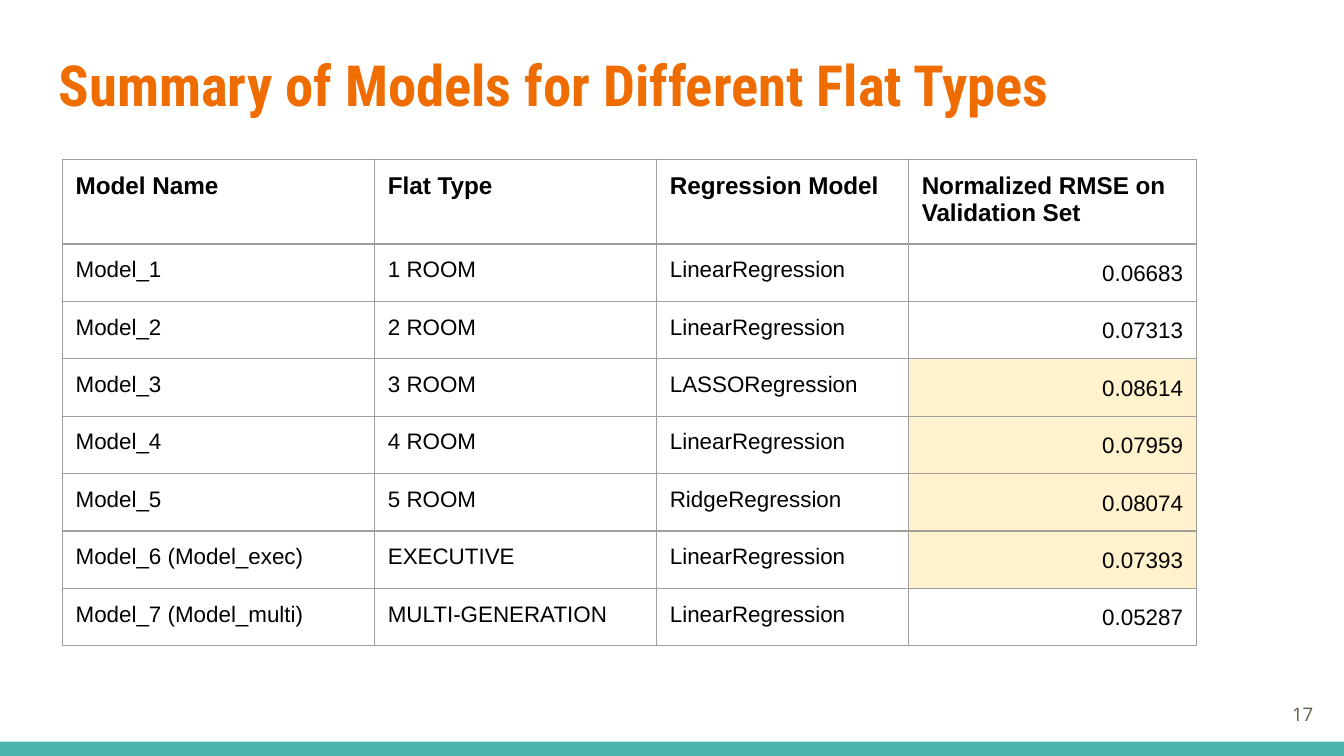
"""Build a slide that summarises the regression models by flat type."""
from pptx import Presentation
from pptx.dml.color import RGBColor
from pptx.enum import shapes, text
from pptx.oxml import parse_xml
from pptx.oxml.ns import nsdecls
from pptx.util import Cm, Pt

COLOURS = {
    "title": "EF6C00",
    "bar": "4DB6AC",
    "number": "695D46",
    "text": "000000",
    "border": "9E9E9E",
    "highlight": "FFF2CC",
}
INSET = Cm(0.25)
COLUMN_WIDTHS = [5.9, 5.33, 4.76, 5.44]
HEADER_HEIGHT, ROW_HEIGHT = 1.52, 1.05
HEADERS = ["Model Name", "Flat Type", "Regression Model", "Normalized RMSE on Validation Set"]
MODELS = [
    ("Model_1", "1 ROOM", "LinearRegression", "0.06683"),
    ("Model_2", "2 ROOM", "LinearRegression", "0.07313"),
    ("Model_3", "3 ROOM", "LASSORegression", "0.08614"),
    ("Model_4", "4 ROOM", "LinearRegression", "0.07959"),
    ("Model_5", "5 ROOM", "RidgeRegression", "0.08074"),
    ("Model_6 (Model_exec)", "EXECUTIVE", "LinearRegression", "0.07393"),
    ("Model_7 (Model_multi)", "MULTI-GENERATION", "LinearRegression", "0.05287"),
]
HIGHLIGHTED_ROWS = range(3, 7)


def place(shape, left, top, width, height):
    """Set the position and size of a shape in centimetres."""
    shape.left, shape.top, shape.width, shape.height = map(Cm, (left, top, width, height))


def set_insets(target):
    """Give a text frame or table cell the same inset on every side."""
    target.margin_left = target.margin_right = INSET
    target.margin_top = target.margin_bottom = INSET


def write(text_frame, content, font_name, size, colour, bold=False, align=text.PP_ALIGN.LEFT):
    """Write one formatted paragraph and return it."""
    text_frame.text = content
    text_frame.word_wrap = True
    paragraph = text_frame.paragraphs[0]
    paragraph.alignment = align
    font = paragraph.runs[0].font
    font.name, font.size, font.bold = font_name, Pt(size), bold
    font.color.rgb = RGBColor.from_string(COLOURS[colour])
    return paragraph


def add_bar(slide):
    """Add the coloured strip along the bottom edge."""
    bar = slide.shapes.add_shape(
        shapes.MSO_SHAPE.RECTANGLE, Cm(0), Cm(14.02), Cm(25.4), Cm(0.27)
    )
    bar.shadow.inherit = False
    bar.fill.solid()
    bar.fill.fore_color.rgb = RGBColor.from_string(COLOURS["bar"])
    bar.line.fill.background()


def fill_title(slide, content):
    """Place and format the title placeholder."""
    title = slide.shapes.title
    place(title, 0.86, 0.61, 23.67, 1.96)
    frame = title.text_frame
    set_insets(frame)
    frame.auto_size = text.MSO_AUTO_SIZE.NONE
    frame.vertical_anchor = text.MSO_ANCHOR.MIDDLE
    write(frame, content, "Roboto Condensed", 30.4, "title", bold=True)


def add_slide_number(slide, content):
    """Add the slide number at the bottom right."""
    frame = slide.shapes.add_textbox(Cm(23.55), Cm(12.95), Cm(1.52), Cm(1.09)).text_frame
    set_insets(frame)
    frame.vertical_anchor = text.MSO_ANCHOR.MIDDLE
    write(frame, content, "Open Sans", 10, "number", align=text.PP_ALIGN.RIGHT)


def add_borders(cell):
    """Draw a thin line on all four sides of a cell."""
    properties = cell._tc.get_or_add_tcPr()
    for side in "LRTB":
        properties.append(parse_xml(
            f'<a:ln{side} {nsdecls("a")} w="{Pt(0.75)}"><a:solidFill>'
            f'<a:srgbClr val="{COLOURS["border"]}"/></a:solidFill></a:ln{side}>'
        ))


def format_cell(cell, content, is_header, is_value, is_highlighted):
    """Write and style one table cell."""
    set_insets(cell)
    add_borders(cell)
    if is_highlighted:
        cell.fill.solid()
        cell.fill.fore_color.rgb = RGBColor.from_string(COLOURS["highlight"])
    else:
        cell.fill.background()
    align = text.PP_ALIGN.RIGHT if is_value else text.PP_ALIGN.LEFT
    size = 13 if is_header else 12
    paragraph = write(cell.text_frame, content, "Arial", size, "text", is_header, align)
    if is_value:
        paragraph.line_spacing = 1.15


def add_model_table(slide):
    """Add the table of models and their validation errors."""
    rows = [HEADERS, *MODELS]
    heights = [HEADER_HEIGHT] + [ROW_HEIGHT] * len(MODELS)
    table = slide.shapes.add_table(
        len(rows), len(HEADERS), Cm(1.18), Cm(3.01), Cm(sum(COLUMN_WIDTHS)), Cm(sum(heights))
    ).table
    table.first_row = table.horz_banding = False
    for column, width in zip(table.columns, COLUMN_WIDTHS):
        column.width = Cm(width)
    for row, height in zip(table.rows, heights):
        row.height = Cm(height)
    for row_index, values in enumerate(rows):
        for column_index, content in enumerate(values):
            is_header = row_index == 0
            is_value = not is_header and column_index == len(HEADERS) - 1
            is_highlighted = is_value and row_index in HIGHLIGHTED_ROWS
            cell = table.cell(row_index, column_index)
            format_cell(cell, content, is_header, is_value, is_highlighted)


def main():
    """Assemble the slide and save it."""
    presentation = Presentation()
    presentation.slide_width, presentation.slide_height = Cm(25.4), Cm(14.29)
    slide = presentation.slides.add_slide(presentation.slide_layouts[5])
    add_bar(slide)
    fill_title(slide, "Summary of Models for Different Flat Types")
    add_slide_number(slide, "17")
    add_model_table(slide)
    presentation.save("out.pptx")


if __name__ == "__main__":
    main()
